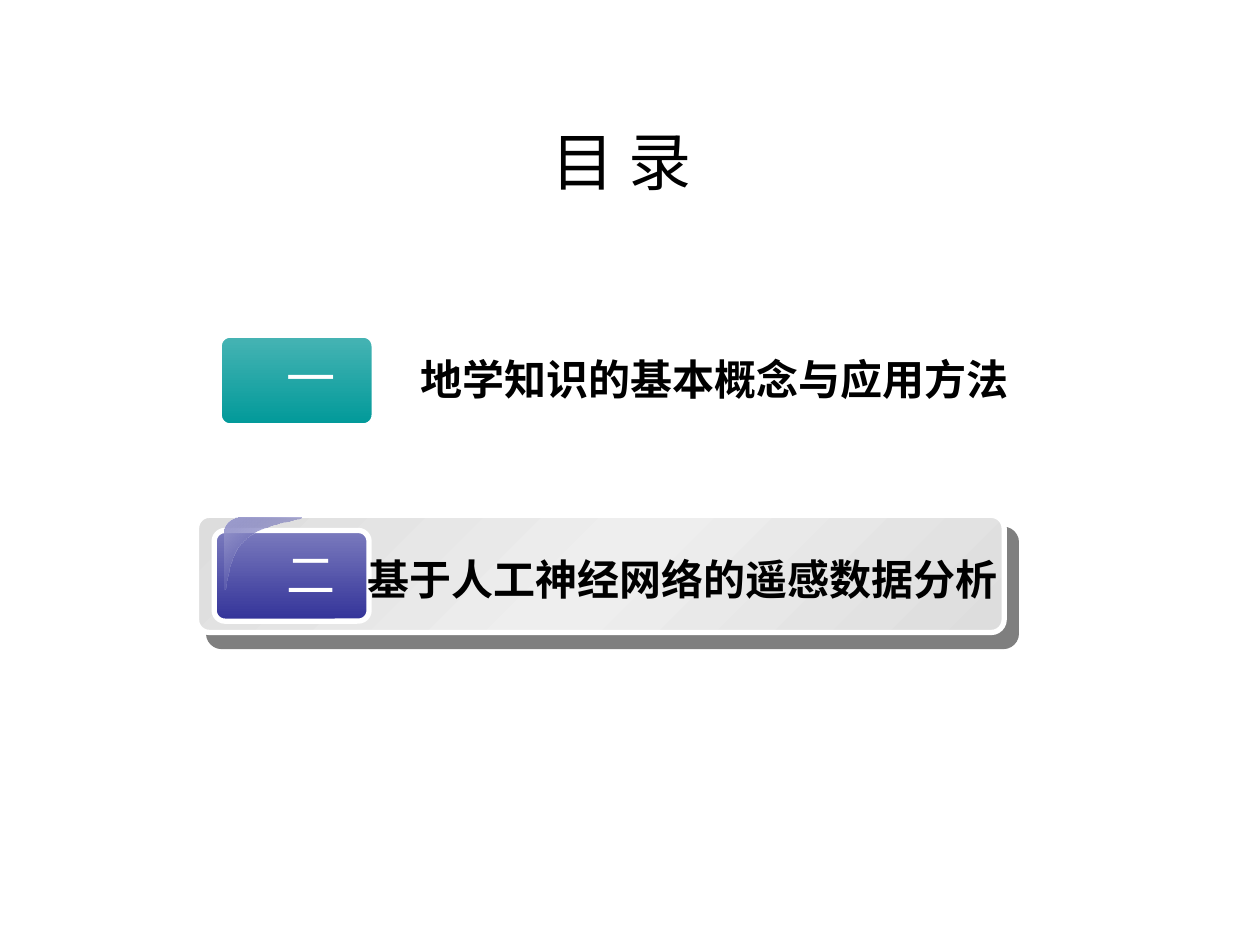
from lxml.etree import SubElement
from pptx import Presentation
from pptx.dml.color import RGBColor
from pptx.enum.shapes import MSO_SHAPE as Preset
from pptx.enum.text import MSO_ANCHOR as Anchor, MSO_AUTO_SIZE as AutoSize, PP_ALIGN as Align
from pptx.oxml.ns import qn
from pptx.util import Inches, Pt

COLORS = {
    "white": "FFFFFF",
    "black": "000000",
    "teal_light": "47B4B4",
    "teal": "009999",
    "violet_light": "7A7ABD",
    "violet": "333399",
    "glare": "9C9CCE",
    "silver": "DDDDDD",
    "silver_light": "EEEEEE",
}


def bezier(start, first, second, end, steps=16):
    """Return points along a cubic curve, leaving out its start."""
    points = []
    for step in range(1, steps + 1):
        t = step / steps
        weights = ((1 - t) ** 3, 3 * t * (1 - t) ** 2, 3 * t * t * (1 - t), t ** 3)
        controls = (start, first, second, end)
        points.append(tuple(sum(w * c[axis] for w, c in zip(weights, controls))
                            for axis in (0, 1)))
    return points


class ContentsSlide:
    """Draw the elements of a contents slide in one shared style."""

    def __init__(self, slide):
        self.slide = slide
        self.font = "Arial"
        self.border = Pt(3)

    def add_color(self, parent, color, alpha):
        element = SubElement(parent, qn("a:srgbClr"), val=COLORS[color])
        if alpha < 100:
            SubElement(element, qn("a:alpha"), val=str(alpha * 1000))

    def gradient(self, shape, stops, angle):
        shape.fill.gradient()
        shape.fill.gradient_angle = 360 - angle
        stop_list = shape.element.spPr.find(qn("a:gradFill")).find(qn("a:gsLst"))
        for old_stop in list(stop_list):
            stop_list.remove(old_stop)
        for position, color, alpha in stops:
            stop = SubElement(stop_list, qn("a:gs"), pos=str(position * 1000))
            self.add_color(stop, color, alpha)

    def panel(self, left, top, width, height, radius, stops, angle):
        shape = self.slide.shapes.add_shape(
            Preset.ROUNDED_RECTANGLE, Inches(left), Inches(top), Inches(width), Inches(height))
        shape.adjustments[0] = radius
        shape.shadow.inherit = False
        self.gradient(shape, stops, angle)
        shape.line.color.rgb = RGBColor.from_string(COLORS["white"])
        shape.line.width = self.border
        return shape

    def drop_shadow(self, shape, distance, angle, alpha):
        effects = shape.element.spPr.find(qn("a:effectLst"))
        shadow = SubElement(effects, qn("a:outerShdw"), dist=str(Pt(distance)),
                            dir=str(angle * 60000), algn="ctr", rotWithShape="0")
        self.add_color(shadow, "black", alpha)

    def badge(self, left, top, light, dark):
        self.panel(left, top, 1.23, 0.72, 0.12, [(0, light, 100), (100, dark, 100)], 90)

    def glare(self, points, stops):
        start, *others = [(Inches(x), Inches(y)) for x, y in points]
        builder = self.slide.shapes.build_freeform(*start)
        builder.add_line_segments(others, close=True)
        shape = builder.convert_to_shape()
        shape.shadow.inherit = False
        shape.line.fill.background()
        self.gradient(shape, stops, 45)

    def text(self, words, left, top, width, height, size, color="black", bold=False,
             align=Align.CENTER, wrap=True, font=None, anchor=Anchor.TOP):
        box = self.slide.shapes.add_textbox(
            Inches(left), Inches(top), Inches(width), Inches(height))
        frame = box.text_frame
        frame.text = words
        frame.word_wrap = wrap
        frame.auto_size = AutoSize.NONE if anchor == Anchor.MIDDLE else AutoSize.SHAPE_TO_FIT_TEXT
        frame.vertical_anchor = anchor
        paragraph = frame.paragraphs[0]
        paragraph.alignment = align
        style = paragraph.runs[0].font
        style.name = font or self.font
        style.size = Pt(size)
        style.bold = bold
        style.color.rgb = RGBColor.from_string(COLORS[color])

    def number(self, words, top):
        self.text(words, 2.17, top, 0.59, 0.57, 28, "white", wrap=False)


def main():
    presentation = Presentation()
    presentation.slide_width = Inches(10)
    presentation.slide_height = Inches(7.5)
    contents = ContentsSlide(presentation.slides.add_slide(presentation.slide_layouts[6]))

    contents.badge(1.74, 2.66, "teal_light", "teal")
    contents.number("一", 2.71)
    contents.text("地学知识的基本概念与应用方法", 3.11, 2.76, 5.12, 0.51, 24, bold=True)

    bar = contents.panel(1.56, 4.09, 6.41, 0.93, 0.11, [
        (0, "silver", 100), (50, "silver_light", 100), (100, "silver", 100)], 45)
    contents.drop_shadow(bar, 10.6, 49, 50)
    contents.badge(1.7, 4.21, "violet_light", "violet")
    corner = bezier((1.9, 4.11), (1.84, 4.11), (1.78, 4.16), (1.78, 4.22))
    inner = bezier((1.78, 4.68), (1.81, 4.69), (1.79, 4.41), (1.95, 4.28))
    tip = bezier((1.95, 4.28), (2.1, 4.15), (2.4, 4.14), (2.39, 4.11))
    contents.glare([(1.9, 4.11), *corner, (1.78, 4.68), *inner, *tip],
                   [(0, "glare", 100), (100, "violet", 0)])
    contents.number("二", 4.27)
    contents.text("基于人工神经网络的遥感数据分析", 2.82, 4.34, 5.4, 0.5, 24,
                  bold=True, align=Align.LEFT)

    contents.text("目 录", 0.43, 0.99, 9, 0.56, 36, font="Montserrat", anchor=Anchor.MIDDLE)
    presentation.save("out.pptx")


if __name__ == "__main__":
    main()
